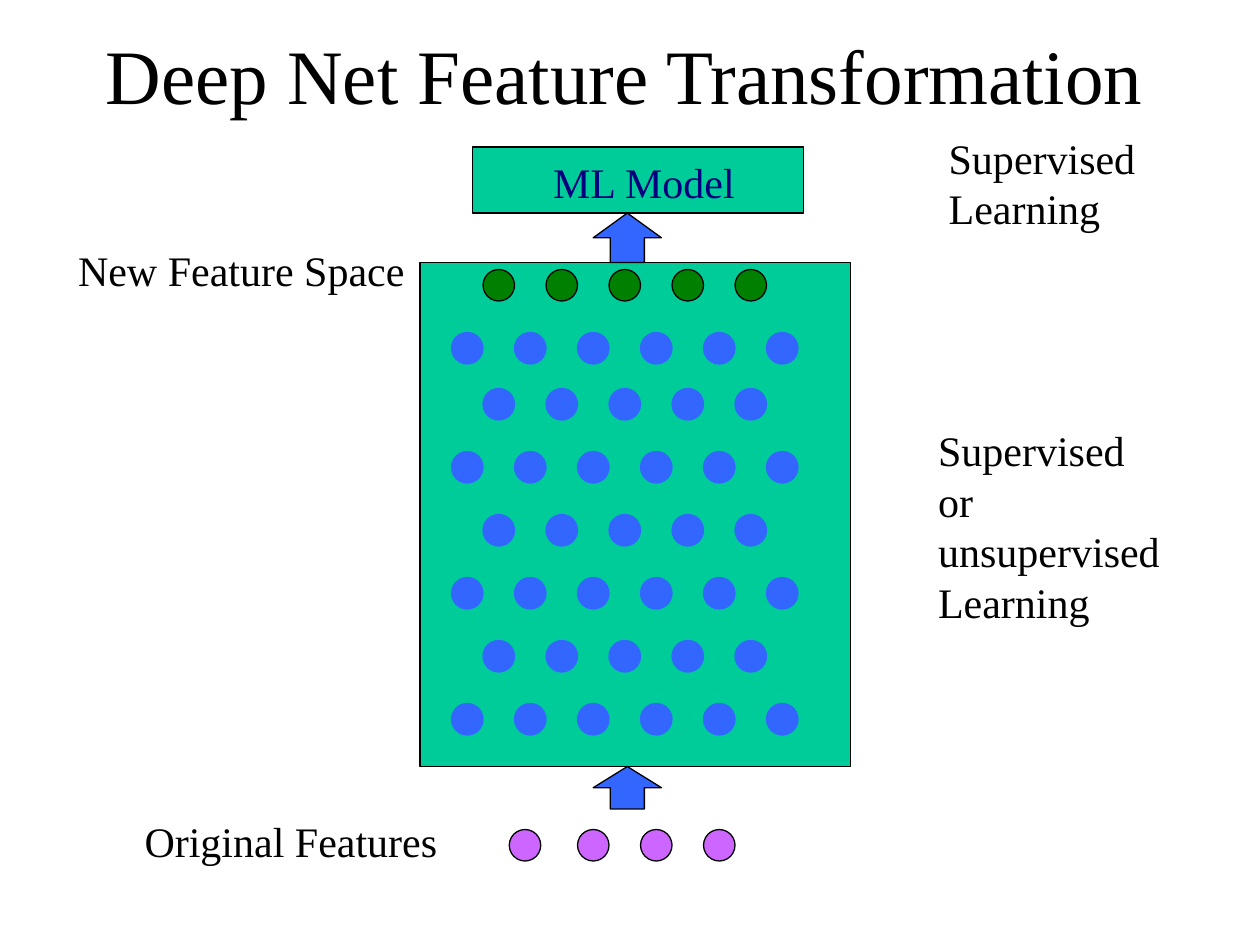
from pptx import Presentation
from pptx.dml.color import RGBColor
from pptx.enum.shapes import MSO_SHAPE as Shape
from pptx.enum.text import MSO_ANCHOR as Anchor, MSO_AUTO_SIZE as AutoSize, PP_ALIGN as Align
from pptx.util import Pt

BLACK = RGBColor(0x00, 0x00, 0x00)
NAVY = RGBColor(0x00, 0x00, 0x7F)
TEAL = RGBColor(0x00, 0xCC, 0x99)
BLUE = RGBColor(0x33, 0x66, 0xFF)
GREEN = RGBColor(0x00, 0x80, 0x00)
VIOLET = RGBColor(0xCC, 0x66, 0xFF)

NODE_SIZE = 18
NODE_STEP = 36
WIDE_ROW_LEFT, NARROW_ROW_LEFT = 258, 276


class SlideBuilder:
    font_name = "Times New Roman"
    line_width = 0.75

    def __init__(self, slide):
        self.slide = slide

    def format_paragraph(self, paragraph, size, color):
        for name, value in {"name": self.font_name, "size": Pt(size)}.items():
            setattr(paragraph.font, name, value)
        paragraph.font.color.rgb = color

    def title(self, text, left, top, width, height):
        shape = self.slide.shapes.title
        box = {"left": left, "top": top, "width": width, "height": height}
        for name, value in box.items():
            setattr(shape, name, Pt(value))
        frame = shape.text_frame
        frame.text = text
        frame.vertical_anchor = Anchor.MIDDLE
        frame.paragraphs[0].alignment = Align.CENTER
        self.format_paragraph(frame.paragraphs[0], 44, BLACK)

    def shape(self, kind, left, top, width, height, fill, line=BLACK):
        shape = self.slide.shapes.add_shape(kind, Pt(left), Pt(top), Pt(width), Pt(height))
        shape.shadow.inherit = False
        shape.fill.solid()
        shape.fill.fore_color.rgb = fill
        shape.line.color.rgb = line
        shape.line.width = Pt(self.line_width)

    def node_row(self, left, top, count, fill, line=BLACK):
        for index in range(count):
            self.shape(Shape.OVAL, left + index * NODE_STEP, top,
                       NODE_SIZE, NODE_SIZE, fill, line)

    def label(self, text, left, top, width, height, color=BLACK):
        box = self.slide.shapes.add_textbox(Pt(left), Pt(top), Pt(width), Pt(height))
        frame = box.text_frame
        frame.text = text
        for name, value in {"word_wrap": False, "auto_size": AutoSize.SHAPE_TO_FIT_TEXT}.items():
            setattr(frame, name, value)
        for paragraph in frame.paragraphs:
            paragraph.line_spacing = Pt(28.8)
            self.format_paragraph(paragraph, 24, color)


def main():
    presentation = Presentation()
    presentation.slide_width, presentation.slide_height = Pt(720), Pt(540)
    title_only = presentation.slide_layouts[5]
    builder = SlideBuilder(presentation.slides.add_slide(title_only))

    builder.title("Deep Net Feature Transformation", 36, 0, 642, 84)

    # Network and model, with the arrows that lead into them
    builder.shape(Shape.RECTANGLE, 240, 150, 246, 288, TEAL)
    builder.shape(Shape.UP_ARROW, 339, 121.75, 39, 28.25, BLUE)
    builder.shape(Shape.UP_ARROW, 339, 438, 39, 24.25, BLUE)
    builder.shape(Shape.RECTANGLE, 270, 84, 189, 37.75, TEAL)

    # Original features: the first node stands a little apart
    builder.node_row(291, 474, 1, VIOLET)
    builder.node_row(330, 474, 3, VIOLET)

    # Hidden layers alternate between six and five nodes
    for index, top in enumerate([190, *range(222, 403, NODE_STEP)]):
        if index % 2 == 0:
            builder.node_row(WIDE_ROW_LEFT, top, 6, BLUE, BLUE)
        else:
            builder.node_row(NARROW_ROW_LEFT, top, 5, BLUE, BLUE)
    builder.node_row(NARROW_ROW_LEFT, 154, 5, GREEN)

    builder.label("ML Model", 309, 86, 119, 36, NAVY)
    builder.label("New Feature Space", 37.5, 136.25, 201, 36)
    builder.label("Original Features", 75.5, 462.25, 181.5, 36)
    builder.label("Supervised\nLearning", 535, 72, 121, 64.8)
    builder.label("Supervised\nor\nunsupervised\nLearning", 529, 239.25, 141, 122.4)

    presentation.save("out.pptx")


if __name__ == "__main__":
    main()
